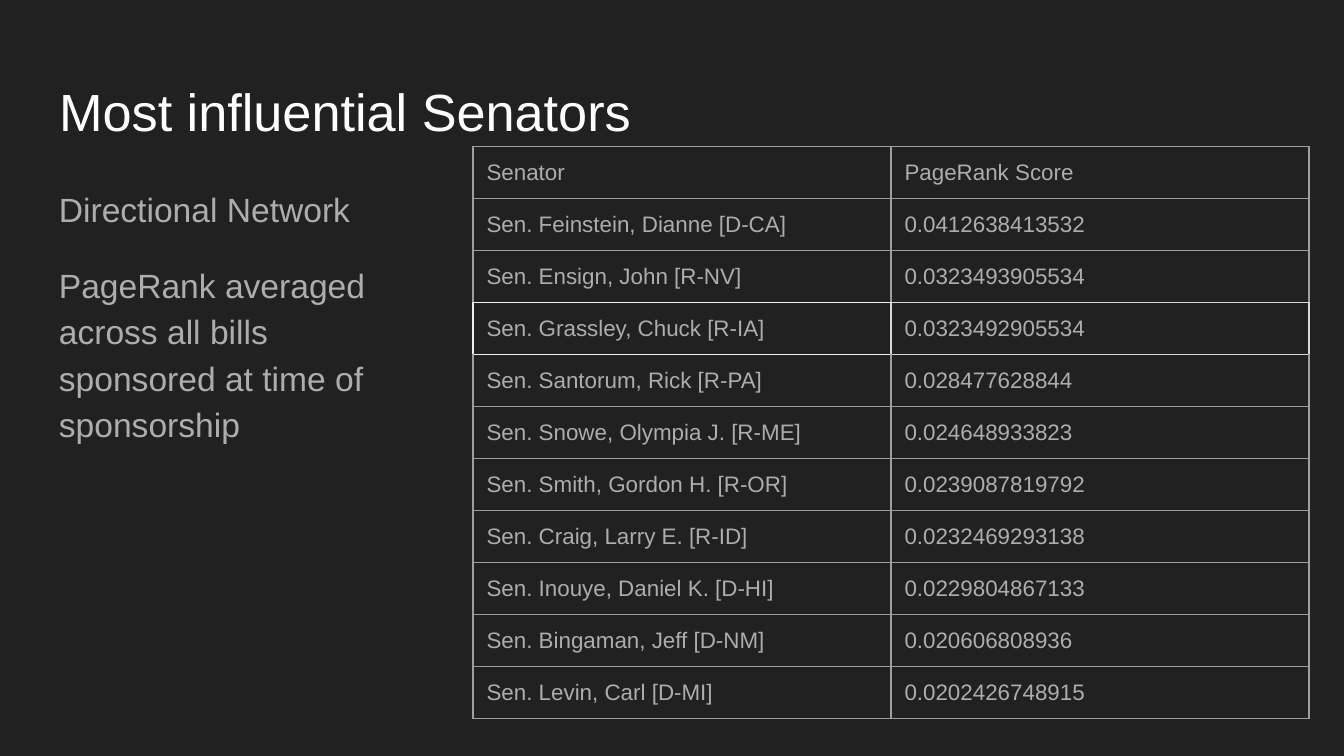
import pptx
import pptx.dml.color
import pptx.enum.text
import pptx.oxml
import pptx.oxml.ns
import pptx.util

Inches = pptx.util.Inches
Pt = pptx.util.Pt
RGBColor = pptx.dml.color.RGBColor
MSO_ANCHOR = pptx.enum.text.MSO_ANCHOR

BACKGROUND = RGBColor(0x21, 0x21, 0x21)
WHITE = RGBColor(0xFF, 0xFF, 0xFF)
GREY = RGBColor(0xAD, 0xAD, 0xAD)
BORDER = RGBColor(0x9E, 0x9E, 0x9E)
LIGHT_BORDER = RGBColor(0xEF, 0xEF, 0xEF)
SOFT_BORDER = RGBColor(0xD9, 0xD9, 0xD9)

SENATORS = [
    ("Senator", "PageRank Score"),
    ("Sen. Feinstein, Dianne [D-CA]", "0.0412638413532"),
    ("Sen. Ensign, John [R-NV]", "0.0323493905534"),
    ("Sen. Grassley, Chuck [R-IA]", "0.0323492905534"),
    ("Sen. Santorum, Rick [R-PA]", "0.028477628844"),
    ("Sen. Snowe, Olympia J. [R-ME]", "0.024648933823"),
    ("Sen. Smith, Gordon H. [R-OR]", "0.0239087819792"),
    ("Sen. Craig, Larry E. [R-ID]", "0.0232469293138"),
    ("Sen. Inouye, Daniel K. [D-HI]", "0.0229804867133"),
    ("Sen. Bingaman, Jeff [D-NM]", "0.020606808936"),
    ("Sen. Levin, Carl [D-MI]", "0.0202426748915"),
]
HIGHLIGHT_ROW = 3


def write(tf, *texts, size, color, font="Arial", line_spacing=None, space_after=None):
    """Fill a text frame with one paragraph per text."""
    for i, text in enumerate(texts):
        p = tf.paragraphs[0] if i == 0 else tf.add_paragraph()
        p.alignment = pptx.enum.text.PP_ALIGN.LEFT
        p.line_spacing = line_spacing
        p.space_after = space_after
        r = p.add_run()
        r.text = text
        r.font.name = font
        r.font.size = Pt(size)
        r.font.color.rgb = color


def set_borders(cell, **colors):
    """Draw cell borders, keyed by side: L, R, T, B."""
    tcPr = cell._tc.get_or_add_tcPr()
    for i, side in enumerate("LRTB"):
        tcPr.insert(i, pptx.oxml.parse_xml(
            f'<a:ln{side} {pptx.oxml.ns.nsdecls("a")} w="{Pt(0.75)}">'
            f'<a:solidFill><a:srgbClr val="{colors[side]}"/></a:solidFill></a:ln{side}>'))


class SlideBuilder:
    def __init__(self, prs):
        self.margin = Inches(0.1)
        self.slide = prs.slides.add_slide(prs.slide_layouts[5])
        fill = self.slide.background.fill
        fill.solid()
        fill.fore_color.rgb = BACKGROUND

    def set_margins(self, item):
        item.margin_left = item.margin_right = self.margin
        item.margin_top = item.margin_bottom = self.margin

    def prepare_frame(self, sp):
        tf = sp.text_frame
        tf.word_wrap = True
        tf.auto_size = pptx.enum.text.MSO_AUTO_SIZE.NONE
        tf.vertical_anchor = MSO_ANCHOR.TOP
        self.set_margins(tf)
        return tf

    def title(self, text, left, top, width, height):
        sp = self.slide.shapes.title
        sp.left, sp.top, sp.width, sp.height = map(Inches, (left, top, width, height))
        write(self.prepare_frame(sp), text, size=28, color=WHITE)

    def text(self, texts, left, top, width, height):
        sp = self.slide.shapes.add_textbox(*map(Inches, (left, top, width, height)))
        write(self.prepare_frame(sp), *texts, size=18, color=GREY,
              line_spacing=1.15, space_after=Pt(16))

    def table(self, rows, left, top, width, height):
        frame = self.slide.shapes.add_table(
            len(rows), len(rows[0]), *map(Inches, (left, top, width, height)))
        table = frame.table
        table.first_row = table.horz_banding = False
        for i, row in enumerate(rows):
            highlighted = i == HIGHLIGHT_ROW
            for j, text in enumerate(row):
                cell = table.cell(i, j)
                cell.fill.background()
                cell.vertical_anchor = MSO_ANCHOR.TOP
                self.set_margins(cell)
                write(cell.text_frame, text, size=12, color=GREY)
                accent = SOFT_BORDER if j else LIGHT_BORDER
                set_borders(
                    cell,
                    L=accent if highlighted else BORDER,
                    R=SOFT_BORDER if highlighted else BORDER,
                    T=accent if i in (HIGHLIGHT_ROW, HIGHLIGHT_ROW + 1) else BORDER,
                    B=accent if i in (HIGHLIGHT_ROW - 1, HIGHLIGHT_ROW) else BORDER)


def main():
    prs = pptx.Presentation()
    prs.slide_width = Inches(10)
    prs.slide_height = prs.slide_width * 9 // 16
    s = SlideBuilder(prs)
    s.title("Most influential Senators", 0.34, 0.49, 9.32, 0.63)
    s.text(["Directional Network",
            "PageRank averaged across all bills sponsored at time of sponsorship"],
           0.34, 1.26, 2.73, 2.16)
    s.table(SENATORS, 3.52, 1.09, 6.22, 4.25)
    prs.save("out.pptx")


if __name__ == "__main__":
    main()
